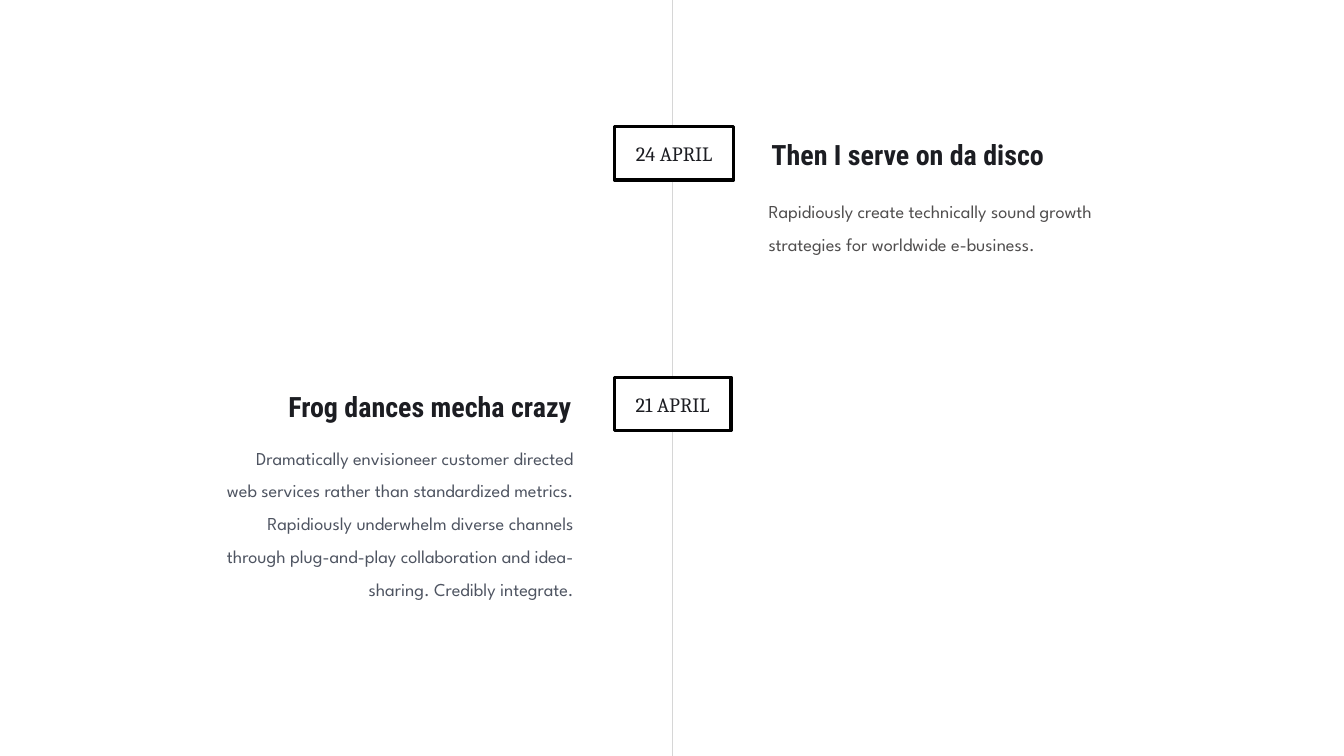
from lxml import etree
from pptx import Presentation
from pptx import util as u
from pptx.dml import color
from pptx.enum import shapes, text
from pptx.oxml import ns

PX = 12700
INK = "1C1D22"


def px(*values):
    return [u.Emu(v * PX) for v in values]


def rgb(value):
    return color.RGBColor.from_string(value)


def write(sp, words, font, size, ink, align, spacing, inset, anchor, bold=False):
    tf = sp.text_frame
    tf.word_wrap = True
    tf.auto_size = text.MSO_AUTO_SIZE.NONE
    tf.vertical_anchor = anchor
    tf.margin_left = tf.margin_top = tf.margin_right = tf.margin_bottom = u.Emu(inset * PX)
    p = tf.paragraphs[0]
    pPr = p._p.get_or_add_pPr()
    pPr.set("marL", "0")
    pPr.set("indent", "0")
    etree.SubElement(pPr, ns.qn("a:buNone"))
    p.alignment = align
    p.line_spacing = spacing
    p.space_before = u.Pt(0)
    r = p.add_run()
    r.text = words
    r.font.name = font
    r.font.size = u.Pt(size)
    r.font.bold = bold
    r.font.color.rgb = rgb(ink)


def place(sp, x, y, w, h):
    sp.left, sp.top, sp.width, sp.height = px(x, y, w, h)


def add_axis(s, x, height):
    line = s.shapes.add_connector(shapes.MSO_CONNECTOR.STRAIGHT, *px(x, height, x, 0))
    line.line.color.rgb = rgb("D6D6D6")
    line.line.width = u.Pt(1)
    etree.SubElement(line._element.spPr, ns.qn("a:effectLst"))


def add_badge(s, x, y, w, h, date):
    sp = s.shapes.add_shape(shapes.MSO_SHAPE.RECTANGLE, *px(x, y, w, h))
    sp.shadow.inherit = False
    sp.fill.solid()
    sp.fill.fore_color.rgb = rgb("FFFFFF")
    sp.line.color.rgb = rgb("000000")
    sp.line.width = u.Pt(5)
    write(sp, date, "Cambria", 29, INK, text.PP_ALIGN.CENTER, 1.0, 20, text.MSO_ANCHOR.MIDDLE)


def fill_entry(title, body, x, y, w, body_gap, body_h, heading, words, ink, align):
    place(title, x, y, w, 64)
    write(title, heading, "Roboto Condensed", 40, INK, align, 1.2, 4, text.MSO_ANCHOR.MIDDLE, True)
    place(body, x, y + body_gap, w, body_h)
    write(body, words, "League Spartan", 26, ink, align, 1.5, 0, text.MSO_ANCHOR.TOP)


def main():
    prs = Presentation()
    prs.slide_width, prs.slide_height = px(1920, 1080)
    s = prs.slides.add_slide(prs.slide_layouts.get_by_name("Comparison"))
    holders = {sp.placeholder_format.idx: sp for sp in s.placeholders}
    spare = holders[1]._element
    spare.getparent().remove(spare)

    add_axis(s, 960, 1080)
    add_badge(s, 878, 181, 170, 76, "24 APRIL")
    add_badge(s, 878, 539, 166, 76, "21 APRIL")
    fill_entry(holders[0], holders[2], 1098, 183, 500, 88, 174, "Then I serve on da disco",
               "Rapidiously create technically sound growth strategies for worldwide e-business.",
               "504E4E", text.PP_ALIGN.LEFT)
    fill_entry(holders[3], holders[4], 320, 543, 500, 80, 290, "Frog dances mecha crazy",
               "Dramatically envisioneer customer directed web services rather than standardized "
               "metrics. Rapidiously underwhelm diverse channels through plug-and-play "
               "collaboration and idea-sharing. Credibly integrate.",
               "4E5461", text.PP_ALIGN.RIGHT)
    prs.save("out.pptx")


if __name__ == "__main__":
    main()
